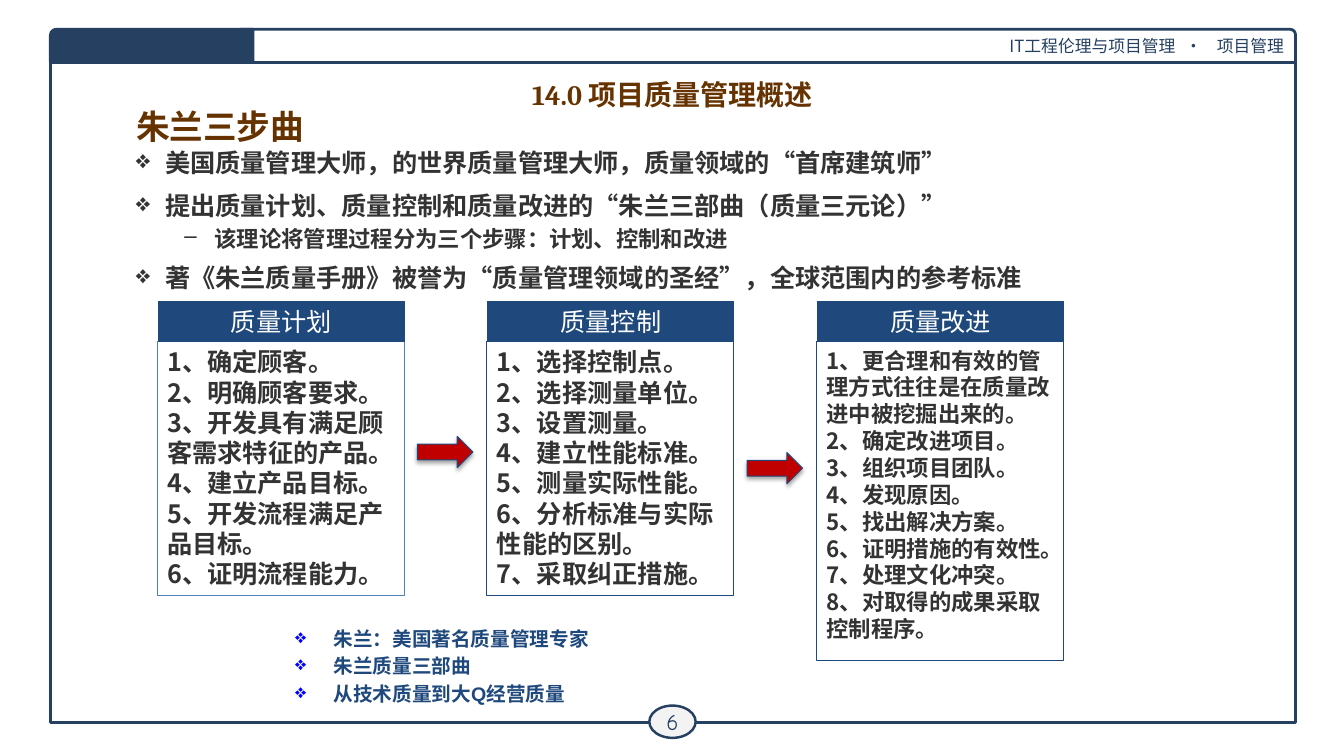
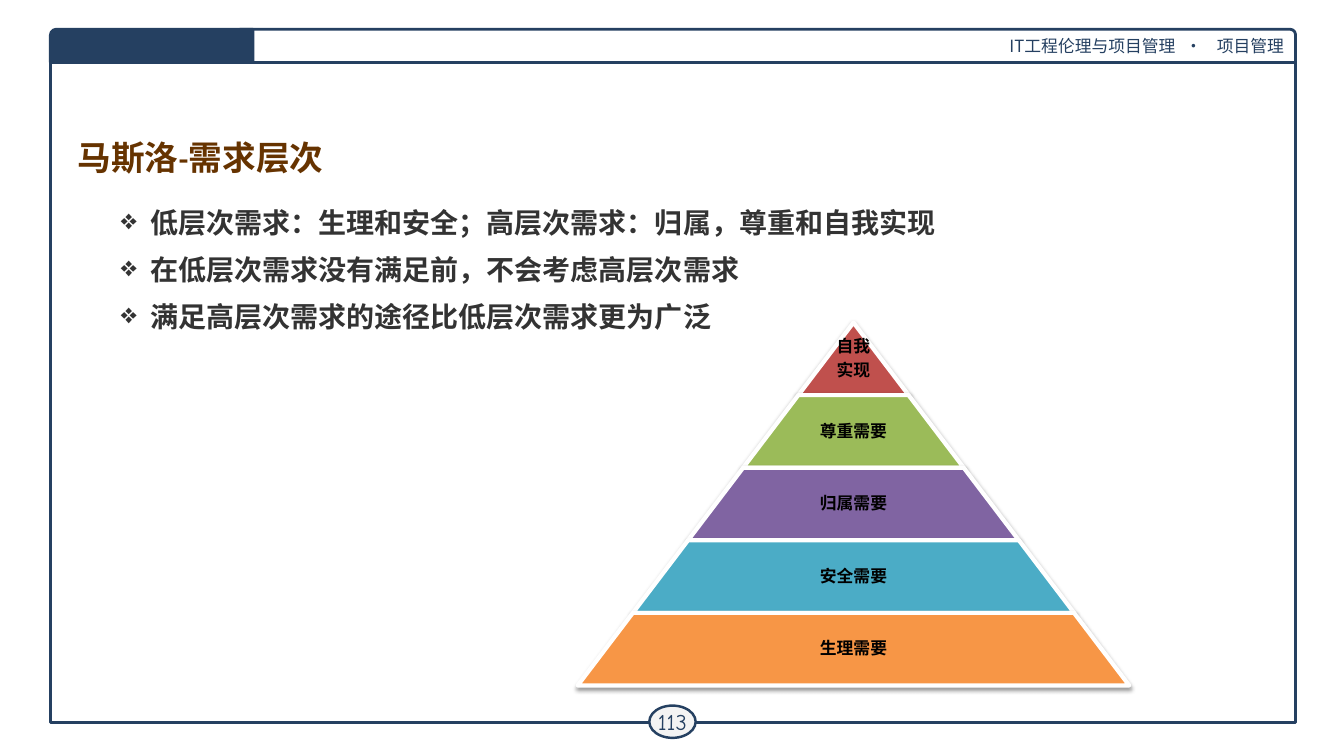
import pptx
import pptx.util
import pptx.dml.color
import pptx.enum.shapes
import pptx.enum.text
import pptx.oxml
import pptx.oxml.ns

RGBColor = pptx.dml.color.RGBColor
SHAPE = pptx.enum.shapes.MSO_SHAPE
ALIGN = pptx.enum.text.PP_ALIGN
ANCHOR = pptx.enum.text.MSO_ANCHOR
Pt = pptx.util.Pt

PX = 9144
NAVY = RGBColor(0x25, 0x40, 0x61)
BLUE = RGBColor(0x1F, 0x49, 0x7D)
SKY = RGBColor(0x4F, 0x81, 0xBD)
BULLET_BLUE = RGBColor(0x00, 0x00, 0xFF)
BROWN = RGBColor(0x66, 0x33, 0x00)
INK = RGBColor(0x33, 0x33, 0x33)
BLACK = RGBColor(0x00, 0x00, 0x00)
WHITE = RGBColor(0xFF, 0xFF, 0xFF)
PALE = RGBColor(0xF3, 0xF3, 0xF3)
RED = RGBColor(0xC0, 0x00, 0x00)
TIERS = [
    (["自我", "实现"], RGBColor(0xC0, 0x50, 0x4D)),
    (["尊重需要"], RGBColor(0x9B, 0xBB, 0x59)),
    (["归属需要"], RGBColor(0x80, 0x64, 0xA2)),
    (["安全需要"], RGBColor(0x4B, 0xAC, 0xC6)),
    (["生理需要"], RGBColor(0xF7, 0x96, 0x46)),
]
CJK = "Noto Sans CJK SC"


def style(size, color, name=CJK, bold=True, leading=1.2, **more):
    return dict(font=dict(size=Pt(size), name=name, bold=bold), color=color,
                para=dict(line_spacing=Pt(round(size * leading, 1))), **more)


def bulleted(base, mark, indent, hang, before, after, level=0, tint=None):
    spacing = dict(space_before=Pt(before), space_after=Pt(after), level=level)
    return dict(base, para=dict(base["para"], **spacing),
                bullet=(mark, indent, hang, tint))


def aligned(base, alignment, **more):
    return dict(base, para=dict(base["para"], alignment=alignment, **more))


HEADING = aligned(style(24, BROWN, "Cambria"), ALIGN.LEFT)
SECTION = aligned(style(20, BROWN, "Cambria"), ALIGN.CENTER)
POINT = bulleted(style(18, INK, "Cambria"), "❖", 29, 29, 7.2, 2.4)
SUBPOINT = bulleted(style(16, INK, "Cambria"), "–", 78, 30, 0.4, 0.1, 1)
LARGE_POINT = bulleted(style(20, INK), "❖", 29, 29, 7.2, 2.4)
NOTE = bulleted(style(14, BLUE, "Arial"), "❖", 38, 38, 2.8, 0, 0, BULLET_BLUE)
CARD_HEAD = aligned(style(18, WHITE, "Arial", False), ALIGN.CENTER)
TIER = aligned(style(12, BLACK, leading=1.08), ALIGN.CENTER, space_after=Pt(4.2))
RUNNING = aligned(style(12, NAVY, bold=False), ALIGN.RIGHT)
NUMBER = aligned(style(16, NAVY, "Comic Neue", False), ALIGN.CENTER)

CARDS = [
    ("质量计划", 252, 18, SKY, 433,
     ["1、确定顾客。", "2、明确顾客要求。", "3、开发具有满足顾客需求特征的产品。",
      "4、建立产品目标。", "5、开发流程满足产品目标。", "6、证明流程能力。"]),
    ("质量控制", 252, 18, BLUE, 449,
     ["1、选择控制点。", "2、选择测量单位。", "3、设置测量。", "4、建立性能标准。",
      "5、测量实际性能。", "6、分析标准与实际性能的区别。", "7、采取纠正措施。"]),
    ("质量改进", 316, 16, BLUE, None,
     ["1、更合理和有效的管理方式往往是在质量改进中被挖掘出来的。", "2、确定改进项目。",
      "3、组织项目团队。", "4、发现原因。", "5、找出解决方案。", "6、证明措施的有效性。",
      "7、处理文化冲突。", "8、对取得的成果采取控制程序。"]),
]


def scaled(*lengths):
    return [round(length * PX) for length in lengths]


def apply(target, values):
    for key, value in values.items():
        setattr(target, key, value)


def add_child(parent, tag, **values):
    child = parent.makeelement(pptx.oxml.ns.qn(tag), values)
    parent.append(child)
    return child


def add_span(para, text, look):
    span = para.add_run()
    span.text = text
    apply(span.font, look["font"])
    span.font.color.rgb = look["color"]
    add_child(span.font._element, "a:ea", typeface=CJK)
    return span


def set_bullet(para, mark, indent, hang, tint):
    props = para._p.get_or_add_pPr()
    props.set("marL", str(indent * PX))
    props.set("indent", str(-hang * PX))
    if tint is not None:
        add_child(add_child(props, "a:buClr"), "a:srgbClr", val=str(tint))
    add_child(props, "a:buChar", char=mark)


def write(shape, lines, anchor=ANCHOR.TOP, inset=None, wrap=True):
    frame = shape.text_frame
    apply(frame, dict(word_wrap=wrap, vertical_anchor=anchor,
                      auto_size=pptx.enum.text.MSO_AUTO_SIZE.NONE))
    if inset is not None:
        apply(frame, {f"margin_{side}": inset * PX
                      for side in ("left", "top", "right", "bottom")})
    for index, (text, look) in enumerate(lines):
        para = frame.add_paragraph() if index else frame.paragraphs[0]
        apply(para, look["para"])
        if not index:
            para.space_before = Pt(0)
        if "bullet" in look:
            set_bullet(para, *look["bullet"])
        add_span(para, text, look)


def add_text(page, box, lines, **layout):
    shape = page.shapes.add_textbox(*scaled(*box))
    write(shape, lines, **layout)
    return shape


def add_box(page, kind, box, fill, line, width, shadow=None):
    shape = page.shapes.add_shape(kind, *scaled(*box))
    shape.shadow.inherit = False
    if fill is None:
        shape.fill.background()
    else:
        shape.fill.solid()
        shape.fill.fore_color.rgb = fill
    shape.line.color.rgb = line
    shape.line.width = Pt(width)
    if shadow:
        distance, opacity = shadow
        effects = shape.element.spPr.find(pptx.oxml.ns.qn("a:effectLst"))
        outer = add_child(effects, "a:outerShdw", blurRad=str(Pt(3.1)),
                          dist=str(Pt(distance)), dir="5400000", rotWithShape="0")
        color = add_child(outer, "a:srgbClr", val="000000")
        add_child(color, "a:alpha", val=str(opacity * 1000))
    return shape


def build_frame(page, layout):
    border = add_box(page, SHAPE.RECTANGLE, (50, 50, 1235, 667), None, NAVY, 2)
    banner = add_box(page, SHAPE.ROUND_1_RECTANGLE, (238, 29, 1047, 33), WHITE, NAVY, 2)
    write(banner, [("IT工程伦理与项目管理", RUNNING)], anchor=ANCHOR.MIDDLE)
    para = banner.text_frame.paragraphs[0]
    dot = add_span(para, " · ", RUNNING)
    dot.font._element.set("spc", "400")
    add_span(para, "项目管理", RUNNING)
    tab = add_box(page, SHAPE.ROUND_1_RECTANGLE, (50, 29, 201, 33), NAVY, NAVY, 2)
    tab.adjustments[0] = 0.18
    tab.element.spPr.get_or_add_xfrm().set("flipH", "1")
    for shape in (border, banner, tab):
        layout.shapes.element.append(shape.element)


def add_page(deck, layout, title, box, number):
    page = deck.slides.add_slide(layout)
    heading = page.shapes.title
    apply(heading, dict(zip(("left", "top", "width", "height"), scaled(*box))))
    write(heading, [(title, HEADING)])
    badge = add_box(page, SHAPE.OVAL, (644, 700, 46, 32), PALE, NAVY, 1.75)
    write(badge, [(number, NUMBER)], anchor=ANCHOR.MIDDLE, inset=4, wrap=False)
    return page


def add_steps(page, left, top, pitch=327, width=245, head=40, arrow=55):
    for index, (name, height, size, line, arrow_top, steps) in enumerate(CARDS):
        x = left + index * pitch
        card = add_box(page, SHAPE.RECTANGLE, (x, top + head, width, height),
                       None, line, 0.75)
        look = aligned(style(size, INK), ALIGN.LEFT)
        write(card, [(step, look) for step in steps])
        header = add_box(page, SHAPE.RECTANGLE, (x + 1, top, width - 1, head),
                         BLUE, BLUE, 0.75)
        write(header, [(name, CARD_HEAD)])
        if arrow_top is not None:
            gap = pitch - width
            arrow_left = x + width + (gap - arrow) // 2
            add_box(page, SHAPE.RIGHT_ARROW, (arrow_left, arrow_top, arrow, 31),
                    RED, BLUE, 0.75, shadow=(1.8, 35))


def add_pyramid(page, left, top, width, height):
    count = len(TIERS)
    tier_height = height / count
    slope = width / 2 / height
    for index, (words, fill) in enumerate(TIERS):
        tier_width = width * (index + 1) / count
        x = left + (width - tier_width) / 2
        y = top + index * tier_height
        tier = add_box(page, SHAPE.TRAPEZOID, (x, y, tier_width, tier_height),
                       fill, WHITE, 3, shadow=(1.6, 38))
        tier.adjustments[0] = min(slope * tier_height, tier_width / 2) / min(
            tier_width, tier_height)
        write(tier, [])
        label_width = tier_width * (0.65 if index else 1)
        label_left = left + (width - label_width) / 2
        add_text(page, (label_left, y, label_width, tier_height),
                 [(word, TIER) for word in words], anchor=ANCHOR.MIDDLE, inset=2)


def build_trilogy(page):
    add_text(page, (125, 141, 900, 176), [
        ("美国质量管理大师，的世界质量管理大师，质量领域的“首席建筑师”", POINT),
        ("提出质量计划、质量控制和质量改进的“朱兰三部曲（质量三元论）”", POINT),
        ("该理论将管理过程分为三个步骤：计划、控制和改进", SUBPOINT),
        ("著《朱兰质量手册》被誉为“质量管理领域的圣经”，全球范围内的参考标准", POINT),
    ])
    add_steps(page, 156, 299)
    notes = ["朱兰：美国著名质量管理专家", "朱兰质量三部曲", "从技术质量到大Q经营质量"]
    add_text(page, (283, 617, 384, 94), [(note, NOTE) for note in notes])
    add_text(page, (217, 72, 900, 37), [("14.0 项目质量管理概述", SECTION)])


def build_needs(page):
    points = ["低层次需求：生理和安全；高层次需求：归属，尊重和自我实现",
              "在低层次需求没有满足前，不会考虑高层次需求",
              "满足高层次需求的途径比低层次需求更为广泛"]
    add_text(page, (110, 199, 903, 149), [(point, LARGE_POINT) for point in points])
    add_pyramid(page, 573, 320, 547, 360)


def main():
    deck = pptx.Presentation()
    deck.slide_width, deck.slide_height = scaled(1333, 750)
    layout = deck.slide_layouts[5]
    trilogy = add_page(deck, layout, "朱兰三步曲", (125, 100, 302, 37), "6")
    build_frame(trilogy, layout)
    build_trilogy(trilogy)
    needs = add_page(deck, layout, "马斯洛-需求层次", (67, 131, 1200, 48), "113")
    build_needs(needs)
    deck.save("out.pptx")


if __name__ == "__main__":
    main()
